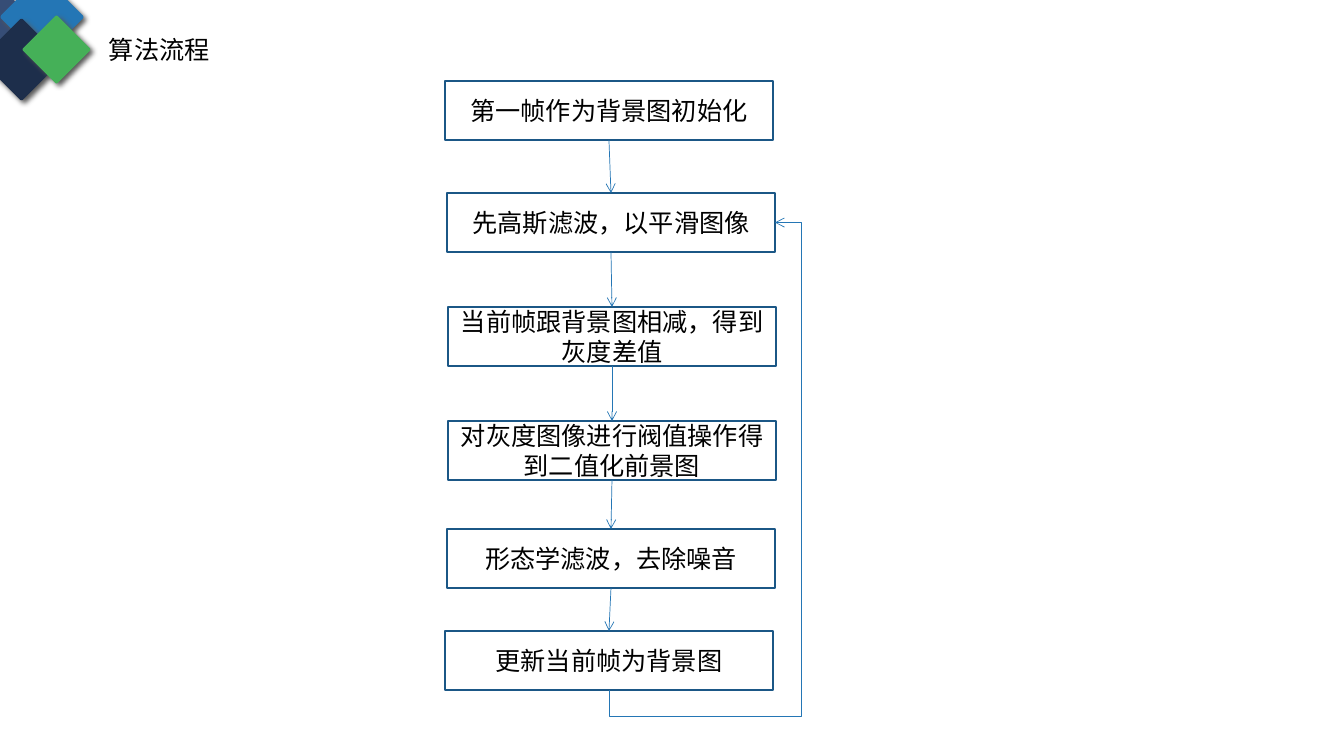
from itertools import pairwise
from lxml.etree import SubElement
from pptx import Presentation
from pptx.dml.color import RGBColor
from pptx.enum.shapes import MSO_CONNECTOR as CONN, MSO_SHAPE as SHAPE
from pptx.enum.text import MSO_ANCHOR as ANCHOR, MSO_AUTO_SIZE as AUTO, PP_ALIGN as ALIGN
from pptx.oxml.ns import qn
from pptx.util import Pt

# Content: lengths in px, 100.8 px to the inch
TITLE, TITLE_BOX = "算法流程", (99, 29, 393, 40)
STEPS = [  # left, top, text
    (445, 81, "第一帧作为背景图初始化"),
    (447, 193, "先高斯滤波，以平滑图像"),
    (448, 307, "当前帧跟背景图相减，得到灰度差值"),
    (448, 421, "对灰度图像进行阀值操作得到二值化前景图"),
    (447, 529, "形态学滤波，去除噪音"),
    (445, 631, "更新当前帧为背景图"),
]
STEP_W, STEP_H = 328, 59
LOOP_GAP = 26  # distance of the feedback line from the boxes
DIAMONDS = [  # left, top, side, colour
    (-23, 0, 52, "slate"),
    (12, -13, 60, "blue"),
    (-8, 30, 59, "navy"),
    (32, 25, 49, "green"),
]
COLORS = {"slate": "364D76", "blue": "2476B5", "navy": "1D2E4B", "green": "45B058",
          "border": "1B5786", "white": "FFFFFF", "black": "000000", "shadow": "595959"}
FONT = "Noto Sans CJK SC"
SCALE = 914400 / 100.8


def px(*lengths):
    return [round(n * SCALE) for n in lengths]


def rgb(name):
    return RGBColor.from_string(COLORS[name])


def write(tf, text, size=18, color="black", align=ALIGN.LEFT, anchor=ANCHOR.TOP):
    tf.word_wrap = True
    tf.vertical_anchor = anchor
    p = tf.paragraphs[0]
    p.alignment = align
    r = p.add_run()
    r.text = text
    r.font.size = Pt(size)
    r.font.name = FONT
    r.font.color.rgb = rgb(color)
    SubElement(r.font._element, qn("a:ea"), typeface=FONT)


def add_box(s, kind, bounds, fill):
    sp = s.shapes.add_shape(kind, *px(*bounds))
    sp.shadow.inherit = False
    sp.fill.solid()
    sp.fill.fore_color.rgb = rgb(fill)
    sp.line.fill.background()
    return sp


def add_diamond(s, left, top, side, color):
    sp = add_box(s, SHAPE.ROUNDED_RECTANGLE, (left, top, side, side), color)
    sp.adjustments[0] = 0.04
    sp.rotation = 315
    effects = sp._element.spPr.find(qn("a:effectLst"))
    shadow = SubElement(effects, qn("a:outerShdw"), blurRad=str(Pt(4)), dist=str(Pt(3)),
                        dir=str(45 * 60000), algn="tl", rotWithShape="0")
    SubElement(shadow, qn("a:srgbClr"), val=COLORS["shadow"])


def add_step(s, left, top, text):
    sp = add_box(s, SHAPE.RECTANGLE, (left, top, STEP_W, STEP_H), "white")
    sp.line.color.rgb = rgb("border")
    sp.line.width = Pt(1)
    write(sp.text_frame, text, align=ALIGN.CENTER, anchor=ANCHOR.MIDDLE)
    return sp


def add_arrow(s, kind, start, start_site, end, end_site):
    c = s.shapes.add_connector(kind, 0, 0, 0, 0)
    c.begin_connect(start, start_site)
    c.end_connect(end, end_site)
    c.line.color.rgb = rgb("blue")
    c.line.width = Pt(0.5)
    SubElement(c.line._get_or_add_ln(), qn("a:tailEnd"), type="arrow")
    SubElement(c._element.spPr, qn("a:effectLst"))
    return c


def add_feedback(s, start, end):
    """Run from the bottom of start, around the right side, into end."""
    c = add_arrow(s, CONN.ELBOW, start, 2, end, 3)
    across, up = c.width, c.height
    mid_x, mid_y = c.left + across // 2, c.top + up // 2
    # The bent preset starts sideways, so it is laid flat and turned upwards
    c.left, c.top, c.width, c.height = mid_x - up // 2, mid_y - across // 2, up, across
    xfrm = c._element.spPr.find(qn("a:xfrm"))
    xfrm.attrib.pop("flipV", None)
    xfrm.set("rot", str(270 * 60000))
    geom = c._element.spPr.find(qn("a:prstGeom"))
    geom.set("prst", "bentConnector4")
    guides = geom.find(qn("a:avLst"))
    gap = LOOP_GAP * SCALE
    for name, part in (("adj1", -gap / up), ("adj2", 1 + gap / across)):
        SubElement(guides, qn("a:gd"), name=name, fmla=f"val {round(part * 100000)}")


def main():
    prs = Presentation()
    prs.slide_width, prs.slide_height = px(1344, 756)
    s = prs.slides.add_slide(prs.slide_layouts[6])

    # Corner ornament and title
    for diamond in DIAMONDS:
        add_diamond(s, *diamond)
    tf = s.shapes.add_textbox(*px(*TITLE_BOX)).text_frame
    tf.auto_size = AUTO.SHAPE_TO_FIT_TEXT
    write(tf, TITLE)

    # Flow chart
    boxes = [add_step(s, *step) for step in STEPS]
    for upper, lower in pairwise(boxes):
        add_arrow(s, CONN.STRAIGHT, upper, 2, lower, 0)
    add_feedback(s, boxes[-1], boxes[1])

    prs.save("out.pptx")


if __name__ == "__main__":
    main()
